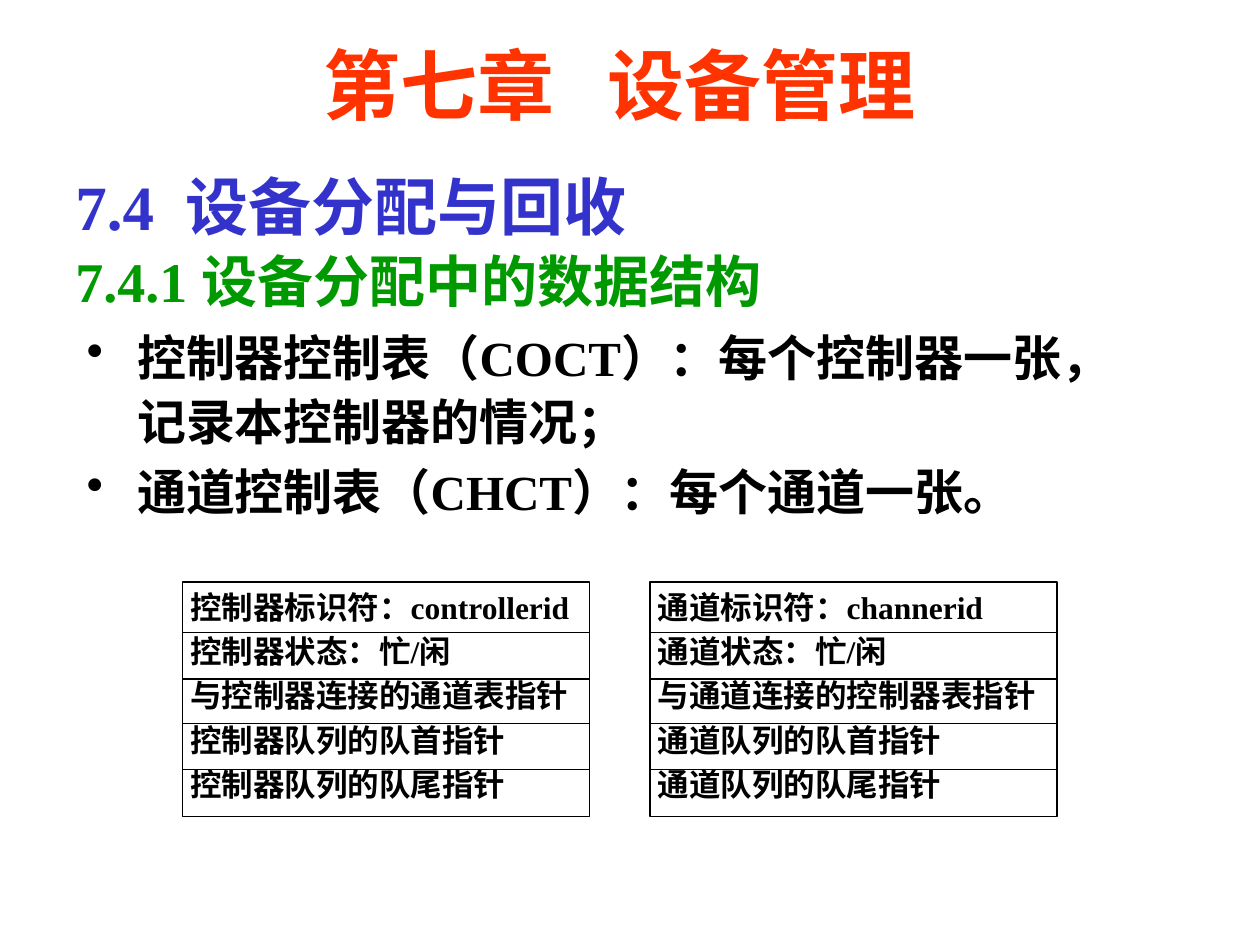
from lxml import etree
from pptx import Presentation
from pptx.dml.color import RGBColor
from pptx.enum import shapes, text
from pptx.oxml import ns
from pptx.util import Inches, Pt

FONT = "Times New Roman"
COLORS = {"title": "FF3300", "section": "3333CC", "subsection": "009900", "ink": "000000"}

TITLE = "第七章   设备管理"
HEADINGS = [("7.4  设备分配与回收", 36, "section"), ("7.4.1 设备分配中的数据结构", 32, "subsection")]
BULLETS = [
    "控制器控制表（COCT）：每个控制器一张，记录本控制器的情况；",
    "通道控制表（CHCT）：每个通道一张。",
]
CONTROL_TABLES = [
    (1.45, ["控制器标识符：controllerid", "控制器状态：忙/闲", "与控制器连接的通道表指针",
            "控制器队列的队首指针", "控制器队列的队尾指针"]),
    (5.16, ["通道标识符：channerid", "通道状态：忙/闲", "与通道连接的控制器表指针",
            "通道队列的队首指针", "通道队列的队尾指针"]),
]
TABLE_TOP, TABLE_WIDTH, TABLE_HEIGHT = 4.62, 3.23, 1.86
DIVIDERS = [5.02, 5.39, 5.74, 6.11]


def style(paragraph, size, color):
    for run in paragraph.runs:
        run.font.name = FONT
        run.font.size = Pt(size)
        run.font.bold = True
        run.font.color.rgb = RGBColor.from_string(COLORS[color])


def add_text_box(slide, left, top, width, height, lines):
    frame = slide.shapes.add_textbox(*map(Inches, (left, top, width, height))).text_frame
    frame.word_wrap = True
    frame.text = "\n".join(lines)
    return frame


def add_bullet(paragraph):
    properties = paragraph._p.get_or_add_pPr()
    properties.set("marL", str(Inches(0.4)))
    properties.set("indent", str(Inches(-0.4)))
    etree.SubElement(properties, ns.qn("a:buChar")).set("char", "•")


def set_line(shape):
    shape.line.color.rgb = RGBColor.from_string(COLORS["ink"])
    shape.line.width = Pt(0.75)


def add_control_table(slide, left, rows):
    group = slide.shapes.add_group_shape()
    box = group.shapes.add_shape(
        shapes.MSO_SHAPE.RECTANGLE,
        *map(Inches, (left, TABLE_TOP, TABLE_WIDTH, TABLE_HEIGHT)))
    box.shadow.inherit = False
    box.fill.background()
    set_line(box)
    frame = box.text_frame
    frame.word_wrap = True
    frame.vertical_anchor = text.MSO_ANCHOR.TOP
    frame.margin_left = Inches(0.06)
    frame.text = "\n".join(rows)
    for index, paragraph in enumerate(frame.paragraphs):
        paragraph.alignment = text.PP_ALIGN.LEFT
        paragraph.space_before = Pt(3.6 if index else 0)
        style(paragraph, 18, "ink")
    for y in DIVIDERS:
        divider = group.shapes.add_connector(
            shapes.MSO_CONNECTOR.STRAIGHT,
            *map(Inches, (left, y, left + TABLE_WIDTH, y)))
        set_line(divider)
        etree.SubElement(divider._element.spPr, ns.qn("a:effectLst"))


def main():
    presentation = Presentation()
    presentation.slide_width, presentation.slide_height = Inches(10), Inches(7.5)
    slide = presentation.slides.add_slide(presentation.slide_layouts[5])

    title = slide.shapes.title
    title.left, title.top, title.width, title.height = map(Inches, (1.17, 0.25, 7.5, 0.83))
    frame = title.text_frame
    frame.text = TITLE
    frame.auto_size = text.MSO_AUTO_SIZE.NONE
    frame.vertical_anchor = text.MSO_ANCHOR.MIDDLE
    frame.paragraphs[0].alignment = text.PP_ALIGN.CENTER
    style(frame.paragraphs[0], 44, "title")

    frame = add_text_box(slide, 0.59, 2.5, 8.67, 1.69, BULLETS)
    for index, paragraph in enumerate(frame.paragraphs):
        add_bullet(paragraph)
        paragraph.line_spacing = 1.1
        paragraph.space_before = Pt(2.8 if index else 0)
        style(paragraph, 28, "ink")

    frame = add_text_box(slide, 0.5, 1.25, 9, 1.29, [line for line, _, _ in HEADINGS])
    for paragraph, (_, size, color) in zip(frame.paragraphs, HEADINGS):
        paragraph.line_spacing = 1.05
        style(paragraph, size, color)

    for left, rows in CONTROL_TABLES:
        add_control_table(slide, left, rows)

    presentation.save("out.pptx")


if __name__ == "__main__":
    main()
